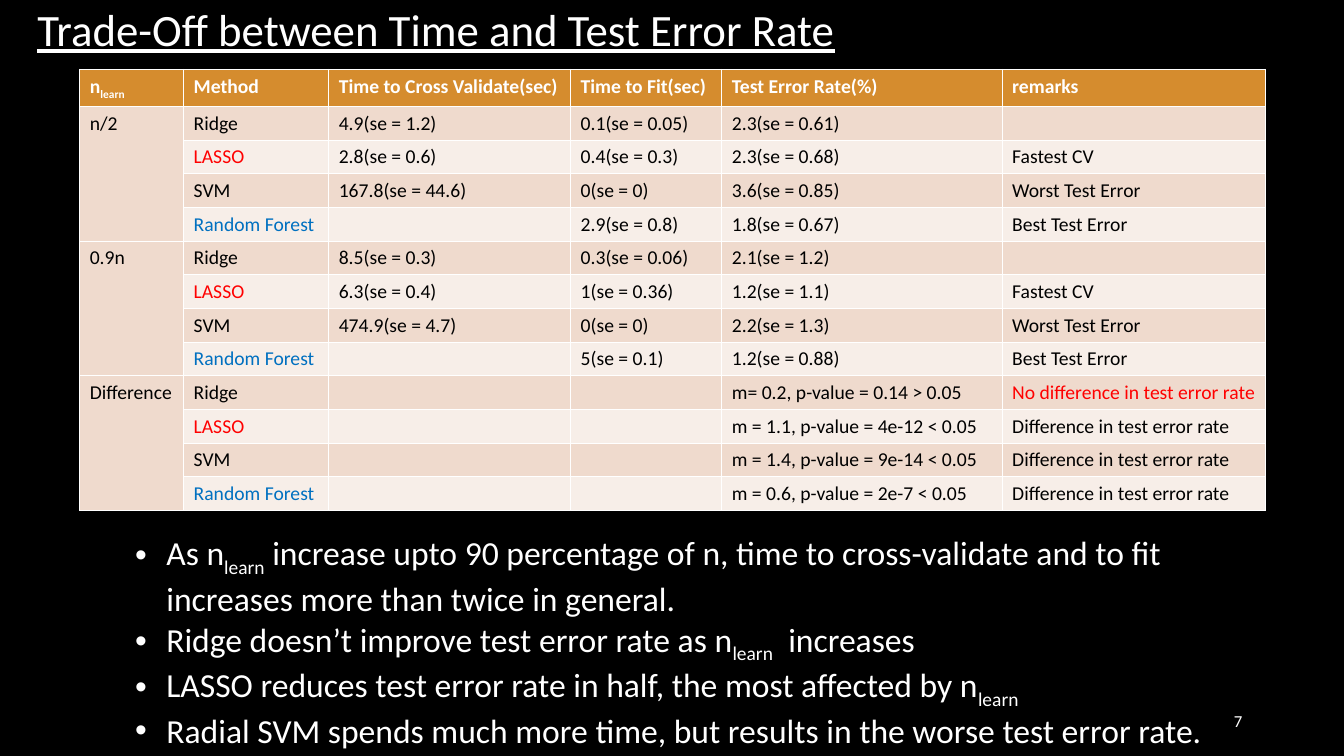
"""Build a slide comparing running time and test error rate of four methods."""
from pptx import Presentation
from pptx.dml.color import RGBColor
from pptx.enum.text import MSO_ANCHOR, MSO_AUTO_SIZE, PP_ALIGN
from pptx.util import Inches, Pt

BLACK = RGBColor(0x00, 0x00, 0x00)
WHITE = RGBColor(0xFF, 0xFF, 0xFF)
RED = RGBColor(0xFF, 0x00, 0x00)
BLUE = RGBColor(0x00, 0x70, 0xC0)
HEADER_FILL = RGBColor(0xD5, 0x8C, 0x2E)
DARK_BAND = RGBColor(0xEF, 0xDA, 0xCD)
LIGHT_BAND = RGBColor(0xF7, 0xEE, 0xE8)

HEADERS = ["n|learn", "Method", "Time to Cross Validate(sec)", "Time to Fit(sec)",
           "Test Error Rate(%)", "remarks"]
METHODS = ["Ridge", "LASSO", "SVM", "Random Forest"]
GROUPS = {
    "n/2": [
        ("4.9(se = 1.2)", "0.1(se = 0.05)", "2.3(se = 0.61)", ""),
        ("2.8(se = 0.6)", "0.4(se = 0.3)", "2.3(se = 0.68)", "Fastest CV"),
        ("167.8(se = 44.6)", "0(se = 0)", "3.6(se = 0.85)", "Worst Test Error"),
        ("", "2.9(se = 0.8)", "1.8(se = 0.67)", "Best Test Error"),
    ],
    "0.9n": [
        ("8.5(se = 0.3)", "0.3(se = 0.06)", "2.1(se = 1.2)", ""),
        ("6.3(se = 0.4)", "1(se = 0.36)", "1.2(se = 1.1)", "Fastest CV"),
        ("474.9(se = 4.7)", "0(se = 0)", "2.2(se = 1.3)", "Worst Test Error"),
        ("", "5(se = 0.1)", "1.2(se = 0.88)", "Best Test Error"),
    ],
    "Difference": [
        ("", "", "m= 0.2, p-value = 0.14 > 0.05", "No difference in test error rate"),
        ("", "", "m = 1.1, p-value = 4e-12 < 0.05", "Difference in test error rate"),
        ("", "", "m = 1.4, p-value = 9e-14 < 0.05", "Difference in test error rate"),
        ("", "", "m = 0.6, p-value = 2e-7 < 0.05", "Difference in test error rate"),
    ],
}
TEXT_COLORS = {"LASSO": RED, "Random Forest": BLUE, "No difference in test error rate": RED}
FINDINGS = [
    "As n|learn| increase upto 90 percentage of n, time to cross-validate and to fit "
    "increases more than twice in general.",
    "Ridge doesn’t improve test error rate as n|learn|  increases",
    "LASSO reduces test error rate in half, the most affected by n|learn",
    "Radial SVM spends much more time, but results in the worse test error rate.",
]
COLUMN_SHARES = [7.73, 10.8, 18, 11.25, 20.86, 19.58]
HEADER_SHARE, ROW_SHARE = 4.9, 4.45

presentation = Presentation()
presentation.slide_width = Inches(13.33)
presentation.slide_height = Inches(7.5)
column_unit = presentation.slide_width / 100
row_unit = presentation.slide_height / 100


def box(left, top, width, height):
    """Turn percentages of the slide into lengths."""
    return [int(left * column_unit), int(top * row_unit),
            int(width * column_unit), int(height * row_unit)]


def write(paragraph, text, size, color, bold=False):
    """Add runs, with every second part between bars set as a subscript."""
    for index, part in enumerate(text.split("|")):
        if not part:
            continue
        run = paragraph.add_run()
        run.text = part
        run.font.name = "Calibri"
        run.font.size = Pt(size)
        run.font.bold = bold
        run.font.color.rgb = color
        if index % 2:
            run.font._element.set("baseline", "-25000")
    if not text:
        paragraph._p.get_or_add_endParaRPr().set("sz", str(size * 100))


slide = presentation.slides.add_slide(presentation.slide_layouts[1])
slide.background.fill.solid()
slide.background.fill.fore_color.rgb = BLACK

title = slide.shapes.title
title.left, title.top, title.width, title.height = box(2.03, -0.8, 86.27, 10)
title.text_frame.auto_size = MSO_AUTO_SIZE.NONE
title.text_frame.vertical_anchor = MSO_ANCHOR.MIDDLE
heading = title.text_frame.paragraphs[0]
heading.alignment = PP_ALIGN.LEFT
heading.line_spacing = 0.9
write(heading, "Trade-Off between Time and Test Error Rate", 32, WHITE)
heading.runs[0].font.underline = True

body = slide.placeholders[1]
body.left, body.top, body.width, body.height = box(9.3, 69.73, 81.4, 28.27)
body.text_frame.auto_size = MSO_AUTO_SIZE.NONE
body.text_frame.vertical_anchor = MSO_ANCHOR.TOP
for index, finding in enumerate(FINDINGS):
    paragraph = body.text_frame.paragraphs[0] if index == 0 else body.text_frame.add_paragraph()
    paragraph.space_before = Pt(0)
    properties = paragraph._p.get_or_add_pPr()
    properties.set("marL", str(Inches(0.31)))
    properties.set("indent", str(-Inches(0.31)))
    write(paragraph, finding, 24, WHITE)

page_number = slide.shapes.add_textbox(*box(70.67, 92.67, 22.5, 5.33))
page_number.text_frame.word_wrap = True
page_number.text_frame.vertical_anchor = MSO_ANCHOR.MIDDLE
page_number.text_frame.paragraphs[0].alignment = PP_ALIGN.RIGHT
write(page_number.text_frame.paragraphs[0], "7", 12, WHITE)

rows = [HEADERS]
for group, results in GROUPS.items():
    for index, (method, result) in enumerate(zip(METHODS, results)):
        rows.append(["" if index else group, method, *result])

table_height = HEADER_SHARE + ROW_SHARE * (len(rows) - 1)
table = slide.shapes.add_table(len(rows), len(HEADERS),
                               *box(5.93, 9.2, sum(COLUMN_SHARES), table_height)).table
for column, share in zip(table.columns, COLUMN_SHARES):
    column.width = int(share * column_unit)

for row_index, values in enumerate(rows):
    is_header = row_index == 0
    table.rows[row_index].height = int((HEADER_SHARE if is_header else ROW_SHARE) * row_unit)
    band = HEADER_FILL if is_header else DARK_BAND if row_index % 2 else LIGHT_BAND
    for column_index, value in enumerate(values):
        cell = table.cell(row_index, column_index)
        cell.fill.solid()
        cell.fill.fore_color.rgb = band
        color = WHITE if is_header else TEXT_COLORS.get(value, BLACK)
        write(cell.text_frame.paragraphs[0], value, 14, color, is_header)

for first_row in range(1, len(rows), len(METHODS)):
    table.cell(first_row, 0).merge(table.cell(first_row + len(METHODS) - 1, 0))

presentation.save("out.pptx")
